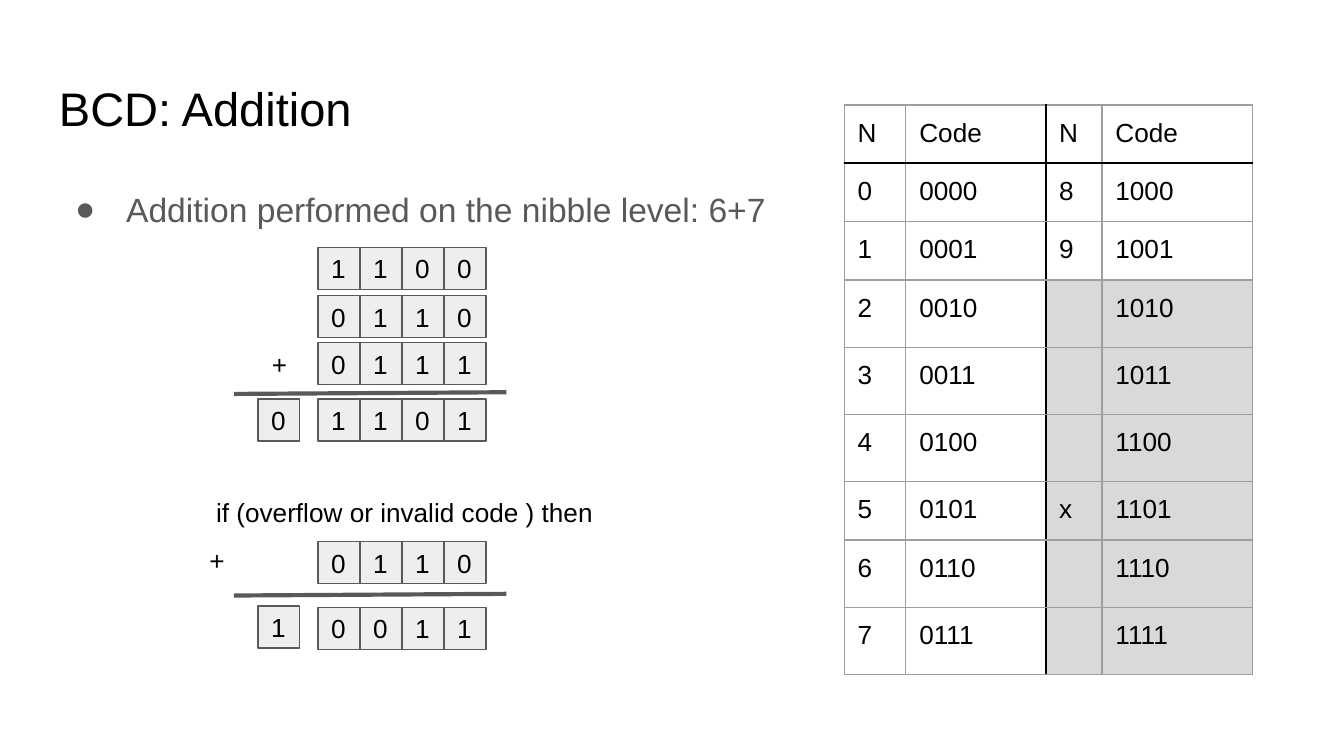
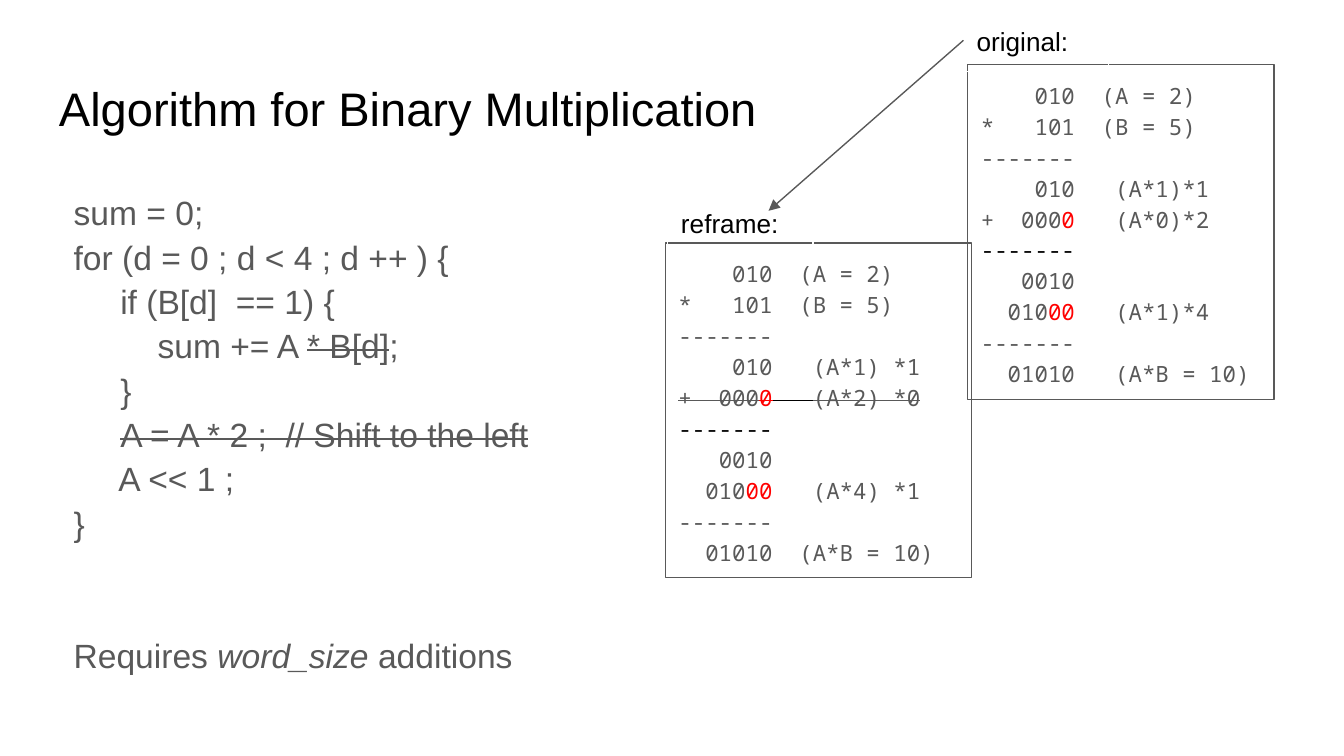
from copy import deepcopy
from typing import NamedTuple

from lxml import etree
from pptx import Presentation
from pptx import util as u
from pptx.dml import color
from pptx.enum import shapes, text
from pptx.oxml import ns

# The 10 x 5.625 inch slide is a grid of 32 columns and 18 rows of square units.
UNIT = 10 / 32
BLACK, GRAY, RED, WHITE = "000000", "595959", "FF0000", "FFFFFF"
PALE, SHADE, RULE = "EEEEEE", "D9D9D9", "9E9E9E"
SANS, MONO = "Arial", "Noto Sans Mono"
THIN, BOLD, HEAVY = 0.75, 1.5, 2.25


class Area(NamedTuple):
    x: float
    y: float
    w: float
    h: float


class Bit(NamedTuple):
    """A stretch of text in one style; a newline is a line break."""
    words: str
    tint: str = GRAY
    struck: bool = False
    slant: bool = False


class Style(NamedTuple):
    size: float
    face: str = SANS
    lead: float = 1.0


class Word(NamedTuple):
    """A row of digit boxes, optionally with a carry box on its left."""
    row: float
    digits: str
    carry: str = ""
    lift: float = 0


class Link(NamedTuple):
    x1: float
    y1: float
    x2: float
    y2: float
    width: float
    arrow: bool = False


TITLE, BODY = Style(25.2), Style(18, lead=1.15)
LABEL, CODE = Style(14), Style(12, MONO, 1.15)
LIST = Style(18, lead=1.1)

HEAD = Area(1.09, 1.57, 29.82, 2.02)
MAIN = Area(1.09, 4.03, 29.82, 11.97)

WORDS = (
    Word(8.16, "0111"), Word(7.04, "0110"), Word(5.89, "1100"),
    Word(9.5, "1101", "0"), Word(12.9, "0110"), Word(14.46, "0011", "1", 0.03),
)
SIGNS = (Area(6.11, 8.1, 1.09, 1.15), Area(3.17, 12.77, 4, 1.15))
SUMS = (Link(12.06, 9.34, 5.57, 9.38, HEAVY),
        Link(12.06, 14.14, 5.57, 14.18, HEAVY))
CARRY_X, WORD_X = 6.14, 7.57
WIDTHS = (1.47, 3.33, 1.34, 3.58)

LOOP = (
    Bit("sum = 0;\nfor (d = 0 ; d < 4 ; d ++ ) {\n"
        "     if (B[d]  == 1) {\n         sum += A "),
    Bit("* B[d]", struck=True),
    Bit(";\n     }\n     "),
    Bit("A = A * 2 ;  // Shift to the left\n", struck=True),
    Bit("     A << 1 ;\n}"),
)
COST = (Bit("Requires "), Bit("word_size", slant=True), Bit(" additions"))

START = "    010  (A = 2)\n*   101  (B = 5)\n-------\n    010   (A*1)"
CARRY = (Bit("-------\n   ", BLACK), Bit("0010\n  010"), Bit("00   ", RED))
FIRST = (
    Bit(START + "*1\n+  000"), Bit("0   ", RED), Bit("(A*0)*2\n"),
    *CARRY, Bit("(A*1)*4\n-------\n  01010   (A*B = 10)"),
)
SECOND = (
    Bit(START + " *1\n"), Bit("+  000", struck=True), Bit("0", RED, True),
    Bit("   ", BLACK, True), Bit("(A*2) *0\n", struck=True),
    *CARRY, Bit("(A*4) *1\n-------\n  01010  (A*B = 10)"),
)


def size(units: float) -> int:
    return u.Inches(units * UNIT)


def place(area: Area) -> list[int]:
    return [size(part) for part in area]


def hue(code: str) -> color.RGBColor:
    return color.RGBColor.from_string(code)


def write(para, bits: tuple[Bit, ...], style: Style) -> None:
    para.line_spacing = style.lead
    for bit in bits:
        for turn, line in enumerate(bit.words.split("\n")):
            if turn:
                para.add_line_break()
            if not line:
                continue
            run = para.add_run()
            run.text = line
            run.font.size = u.Pt(style.size)
            run.font.name = style.face
            run.font.color.rgb = hue(bit.tint)
            if bit.slant:
                run.font.italic = True
            if bit.struck:
                run.font._element.set("strike", "sngStrike")
    # A break needs the run's size, or it makes its line taller.
    model = para.runs[0].font._element
    for gap in para._p.findall(ns.qn("a:br")):
        gap.insert(0, deepcopy(model))


def inset(frame, anchor=text.MSO_ANCHOR.TOP) -> None:
    frame.word_wrap = True
    frame.vertical_anchor = anchor
    frame.margin_left = frame.margin_right = u.Inches(0.1)
    frame.margin_top = frame.margin_bottom = u.Inches(0.1)


def add_text(slide, area: Area, bits: tuple[Bit, ...], style: Style):
    frame = slide.shapes.add_textbox(*place(area)).text_frame
    inset(frame)
    write(frame.paragraphs[0], bits, style)
    return frame


def add_box(slide, area: Area, bits: tuple[Bit, ...], style: Style = LABEL,
            fill: str = "", line: str = "", anchor=text.MSO_ANCHOR.MIDDLE,
            align=text.PP_ALIGN.LEFT) -> None:
    box = slide.shapes.add_shape(shapes.MSO_SHAPE.RECTANGLE, *place(area))
    box.shadow.inherit = False
    if fill:
        box.fill.solid()
        box.fill.fore_color.rgb = hue(fill)
    else:
        box.fill.background()
    if line:
        box.line.color.rgb = hue(line)
        box.line.width = u.Pt(THIN)
    else:
        box.line.fill.background()
    inset(box.text_frame, anchor)
    para = box.text_frame.paragraphs[0]
    para.alignment = align
    write(para, bits, style)


def add_link(slide, link: Link) -> None:
    ends = [size(part) for part in link[:4]]
    line = slide.shapes.add_connector(shapes.MSO_CONNECTOR.STRAIGHT, *ends)
    line.line.color.rgb = hue(GRAY)
    line.line.width = u.Pt(link.width)
    if link.arrow:
        tip = etree.SubElement(line.line._get_or_add_ln(), ns.qn("a:tailEnd"))
        tip.set("type", "triangle")
    etree.SubElement(line._element.spPr, ns.qn("a:effectLst"))


def add_word(slide, word: Word) -> None:
    spots = [(WORD_X + col, word.row, digit)
             for col, digit in enumerate(word.digits)]
    if word.carry:
        spots.append((CARRY_X, word.row - word.lift, word.carry))
    for x, y, digit in spots:
        add_box(slide, Area(x, y, 1, 1), (Bit(digit, BLACK),),
                fill=PALE, line=GRAY)


def add_edges(cell, dark: str) -> None:
    """Rule the four sides of a cell, black on the sides named in dark."""
    props = cell._tc.get_or_add_tcPr()
    for spot, side in enumerate("LRTB"):
        tint, width = (BLACK, BOLD) if side in dark else (RULE, THIN)
        edge = etree.Element(ns.qn(f"a:ln{side}"), w=str(u.Pt(width)))
        fill = etree.SubElement(edge, ns.qn("a:solidFill"))
        etree.SubElement(fill, ns.qn("a:srgbClr"), val=tint)
        props.insert(spot, edge)


def add_codes(slide) -> None:
    """Table of the sixteen nibbles, with the invalid ones shaded."""
    names = {8: "8", 9: "9", 13: "x"}
    rows = [("N", "Code") * 2]
    rows += [(str(n), f"{n:04b}", names.get(n + 8, ""), f"{n + 8:04b}")
             for n in range(8)]
    area = Area(20.1, 2.5, sum(WIDTHS), 1.38 * len(rows))
    table = slide.shapes.add_table(len(rows), 4, *place(area)).table
    table.first_row = table.horz_banding = False
    for col, width in enumerate(WIDTHS):
        table.columns[col].width = size(width)
    for row, words in enumerate(rows):
        table.rows[row].height = size(1.38)
        for col, word in enumerate(words):
            cell = table.cell(row, col)
            cell.margin_left = cell.margin_right = u.Inches(0.1)
            cell.margin_top = cell.margin_bottom = u.Inches(0.1)
            if word:
                write(cell.text_frame.paragraphs[0], (Bit(word, BLACK),), LABEL)
            if row > 2 and col > 1:
                cell.fill.solid()
                cell.fill.fore_color.rgb = hue(SHADE)
            else:
                cell.fill.background()
            dark = {0: "B", 1: "T"}.get(row, "") + {1: "R", 2: "L"}.get(col, "")
            add_edges(cell, dark)


def add_bullet(para) -> None:
    props = para._p.get_or_add_pPr()
    props.set("marL", str(u.Inches(0.5)))
    props.set("indent", str(u.Inches(-0.38)))
    tint = etree.SubElement(props, ns.qn("a:buClr"))
    etree.SubElement(tint, ns.qn("a:srgbClr"), val=GRAY)
    etree.SubElement(props, ns.qn("a:buFont"), typeface=SANS)
    etree.SubElement(props, ns.qn("a:buChar"), char="●")


def add_page(deck, title: str):
    slide = deck.slides.add_slide(deck.slide_layouts[6])
    slide.background.fill.solid()
    slide.background.fill.fore_color.rgb = hue(WHITE)
    add_text(slide, HEAD, (Bit(title, BLACK),), TITLE)
    return slide


def addition(deck) -> None:
    slide = add_page(deck, "BCD: Addition")
    claim = Bit("Addition performed on the nibble level: 6+7")
    frame = add_text(slide, MAIN, (claim,), BODY)
    add_bullet(frame.paragraphs[0])
    add_codes(slide)
    for area in SIGNS:
        add_box(slide, area, (Bit("+", BLACK),), fill=WHITE,
                align=text.PP_ALIGN.CENTER)
    for word in WORDS:
        add_word(slide, word)
    for link in SUMS:
        add_link(slide, link)
    add_text(slide, Area(4.83, 11.49, 10.05, 1.41),
             (Bit("if (overflow or invalid code ) then", BLACK),), LABEL)


def product(deck) -> None:
    slide = add_page(deck, "Algorithm for Binary Multiplication")
    frame = add_text(slide, MAIN._replace(x=1.44, y=4.16), LOOP, LIST)
    para = frame.add_paragraph()
    para.space_before = u.Pt(47)
    write(para, COST, LIST)
    top = text.MSO_ANCHOR.TOP
    for x, y, bits in ((23.04, 1.54, FIRST), (15.84, 5.79, SECOND)):
        add_box(slide, Area(x, y, 7.3, 7.97), bits, CODE, line=GRAY, anchor=top)
    for x, y, name in ((15.9, 4.61, "reframe:"), (22.94, 0.29, "original:")):
        add_box(slide, Area(x, y, 3.46, 1.41), (Bit(name, BLACK),),
                line=WHITE, anchor=top)
    add_link(slide, Link(22.94, 0.96, 18.3, 5.02, THIN, arrow=True))


def main() -> None:
    deck = Presentation()
    deck.slide_width, deck.slide_height = size(32), size(18)
    addition(deck)
    product(deck)
    deck.save("out.pptx")


if __name__ == "__main__":
    main()
